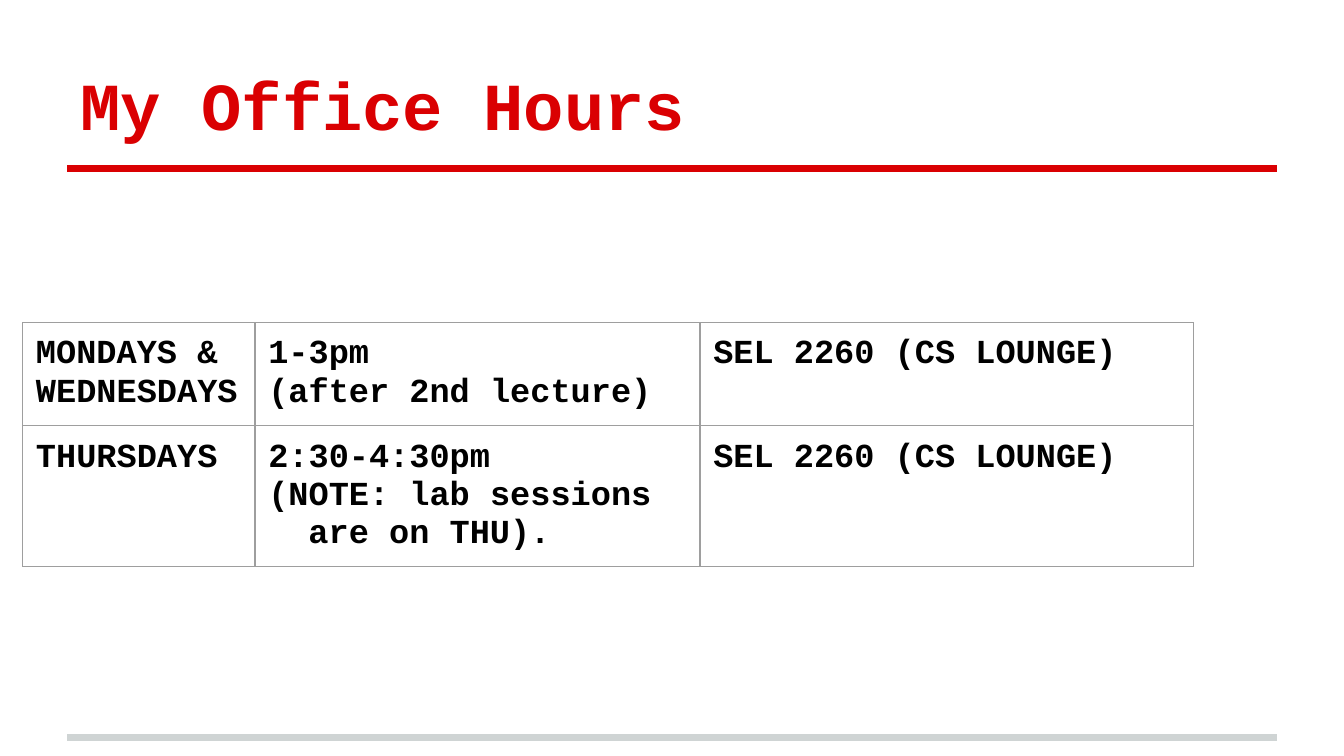
"""Build a slide that lists weekly office hours in a table."""
from lxml import etree
from pptx import Presentation
from pptx.dml.color import RGBColor
from pptx.enum.shapes import MSO_CONNECTOR
from pptx.enum.text import MSO_ANCHOR, MSO_AUTO_SIZE, PP_ALIGN
from pptx.oxml import parse_xml
from pptx.oxml.ns import nsdecls, qn
from pptx.util import Cm, Pt

RED = RGBColor(0xDA, 0x00, 0x02)
SILVER = RGBColor(0xCF, 0xD4, 0xD4)
GRAY = RGBColor(0x9E, 0x9E, 0x9E)
BLACK = RGBColor(0x00, 0x00, 0x00)
STRAIGHT = MSO_CONNECTOR.STRAIGHT
BOTTOM = MSO_ANCHOR.BOTTOM
TOP = MSO_ANCHOR.TOP
LEFT = PP_ALIGN.LEFT
NO_AUTO_SIZE = MSO_AUTO_SIZE.NONE

COLUMN_WIDTHS = (4.39, 8.41, 9.32)
ROW_HEIGHTS = (1.95, 2.66)
ROOM = "SEL 2260 (CS LOUNGE)"
INDENTED_LINE = "are on THU)."
HOURS = (
    (("MONDAYS &", "WEDNESDAYS"), ("1-3pm", "(after 2nd lecture)"), (ROOM,)),
    (("THURSDAYS",), ("2:30-4:30pm", "(NOTE: lab sessions", INDENTED_LINE), (ROOM,)),
)


class SlideBuilder:
    font = "Courier New"
    inset = Cm(0.25)

    def __init__(self, page):
        self.page = page

    def add_span(self, para, text, size, color):
        para.alignment = LEFT
        span = para.add_run()
        span.text = text
        span.font.name = self.font
        span.font.size = Pt(size)
        span.font.bold = True
        span.font.color.rgb = color

    def pad(self, box):
        box.margin_left = box.margin_right = self.inset
        box.margin_top = box.margin_bottom = self.inset

    def title(self, text):
        box = self.page.shapes.title
        box.left, box.top, box.width, box.height = Cm(1.27), Cm(0.58), Cm(22.86), Cm(2.39)
        frame = box.text_frame
        frame.auto_size = NO_AUTO_SIZE
        frame.vertical_anchor = BOTTOM
        self.pad(frame)
        self.add_span(frame.paragraphs[0], text, 36, RED)

    def rule(self, y, color):
        line = self.page.shapes.add_connector(STRAIGHT, Cm(1.27), Cm(y), Cm(24.13), Cm(y))
        line.line.color.rgb = color
        line.line.width = Pt(4)
        etree.SubElement(line.element.spPr, qn("a:effectLst"))

    def border(self, cell):
        properties = cell._tc.get_or_add_tcPr()
        for side in ("lnL", "lnR", "lnT", "lnB"):
            properties.append(parse_xml(
                f'<a:{side} {nsdecls("a")} w="{Pt(0.75)}"><a:solidFill>'
                f'<a:srgbClr val="{GRAY}"/></a:solidFill></a:{side}>'))

    def fill_cell(self, cell, lines):
        self.border(cell)
        cell.fill.background()
        cell.vertical_anchor = TOP
        self.pad(cell)
        frame = cell.text_frame
        for index, text in enumerate(lines):
            para = frame.add_paragraph() if index else frame.paragraphs[0]
            if text == INDENTED_LINE:
                para._p.get_or_add_pPr().set("marL", str(Cm(0.76)))
            self.add_span(para, text, 18, BLACK)

    def table(self, left, top, rows):
        grid = self.page.shapes.add_table(
            len(ROW_HEIGHTS), len(COLUMN_WIDTHS), Cm(left), Cm(top),
            Cm(sum(COLUMN_WIDTHS)), Cm(sum(ROW_HEIGHTS))).table
        grid.first_row = grid.horz_banding = False
        for column, width in zip(grid.columns, COLUMN_WIDTHS):
            column.width = Cm(width)
        for row, height, entries in zip(grid.rows, ROW_HEIGHTS, rows):
            row.height = Cm(height)
            for cell, lines in zip(row.cells, entries):
                self.fill_cell(cell, lines)


def main():
    deck = Presentation()
    deck.slide_width, deck.slide_height = Cm(25.4), Cm(14.29)
    builder = SlideBuilder(deck.slides.add_slide(deck.slide_layouts[5]))
    builder.rule(13.94, SILVER)
    builder.rule(3.18, RED)
    builder.title("My Office Hours")
    builder.table(0.43, 6.1, HOURS)
    deck.save("out.pptx")


if __name__ == "__main__":
    main()
